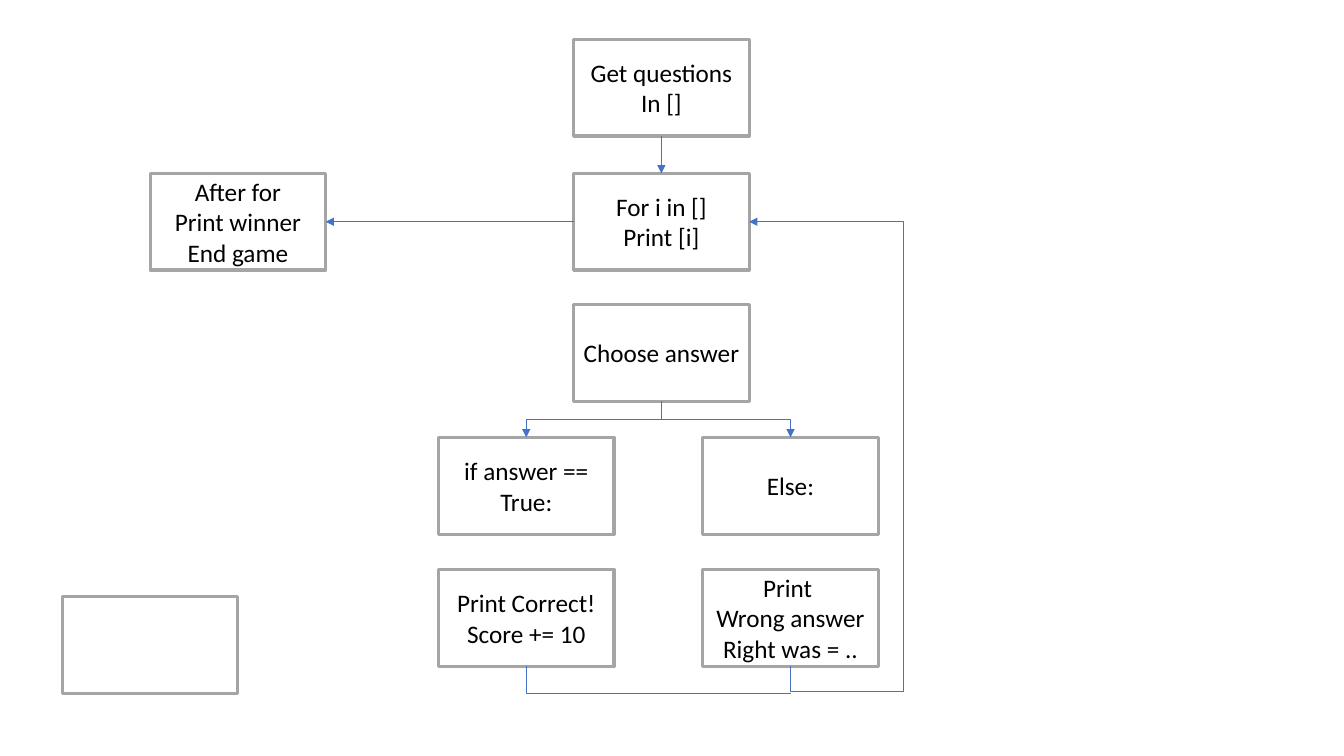
from lxml.etree import SubElement as Sub
from pptx import Presentation
from pptx.dml.color import RGBColor as RGB
from pptx.enum.shapes import MSO_CONNECTOR as Link, MSO_SHAPE as Shape
from pptx.enum.text import MSO_ANCHOR as Anchor, PP_ALIGN as Align
from pptx.oxml.ns import qn
from pptx.util import Inches, Pt

WIDE, HIGH = 1.74, 0.96
ROWS = [0.39, 1.72, 3.02, 4.34, 5.65]
MID, LEFT, RIGHT = 5.69, 4.35, 6.97
# Connection sites of a rectangle
TOP, WEST, BASE, EAST = range(4)
SITES = [(0.5, 0), (0, 0.5), (0.5, 1), (1, 0.5)]
GREY, BLUE, WHITE, BLACK = "A5A5A5", "4472C4", "FFFFFF", "000000"


def paint(color, code):
    color.rgb = RGB.from_string(code)


def add_box(slide, x, y, *lines):
    box = slide.shapes.add_shape(
        Shape.RECTANGLE, Inches(x), Inches(y), Inches(WIDE), Inches(HIGH))
    box.shadow.inherit = False
    box.fill.solid()
    paint(box.fill.fore_color, WHITE)
    paint(box.line.color, GREY)
    box.line.width = Pt(2.25)
    frame = box.text_frame
    frame.word_wrap = True
    frame.vertical_anchor = Anchor.MIDDLE
    for i, line in enumerate(lines):
        para = frame.add_paragraph() if i else frame.paragraphs[0]
        para.text = line
        para.alignment = Align.CENTER
        para.font.name, para.font.size = "Calibri", Pt(18)
        paint(para.font.color, BLACK)
    return box


def point(box, site):
    across, down = SITES[site]
    return (int(box.left + box.width * across),
            int(box.top + box.height * down))


def style(link, arrow):
    paint(link.line.color, BLUE)
    link.line.width = Pt(0.5)
    props = link._element.spPr
    if arrow:
        Sub(props.find(qn("a:ln")), qn("a:tailEnd"), type="triangle")
    Sub(props, qn("a:effectLst"))


def add_line(slide, start, out, end, into):
    link = slide.shapes.add_connector(
        Link.STRAIGHT, *point(start, out), *point(end, into))
    link.begin_connect(start, out)
    link.end_connect(end, into)
    style(link, True)


def add_bend(slide, start, goal, kind, end=None, into=None, bends=()):
    """Elbow that leaves the base of a box and ends at the goal point."""
    (x1, y1), (x2, y2) = point(start, BASE), goal
    link = slide.shapes.add_connector(Link.ELBOW, x1, y1, x2, y2)
    link.begin_connect(start, BASE)
    if end is not None:
        link.end_connect(end, into)
    # The preset runs sideways, so turn its frame about the centre
    wide, high = abs(y2 - y1), abs(x2 - x1)
    link.left, link.top = (x1 + x2 - wide) // 2, (y1 + y2 - high) // 2
    link.width, link.height = wide, high
    props = link._element.spPr
    frame = props.find(qn("a:xfrm"))
    right, down = x2 > x1, y2 > y1
    frame.set("rot", str((270 if right else 90) * 60000))
    frame.set("flipH", "1" if right == down else "0")
    frame.set("flipV", "0")
    geom = props.find(qn("a:prstGeom"))
    geom.set("prst", kind)
    for i, part in enumerate(bends, 1):
        Sub(geom.find(qn("a:avLst")), qn("a:gd"),
            name=f"adj{i}", fmla=f"val {round(part * 100000)}")
    style(link, end is not None)


def main():
    deck = Presentation()
    deck.slide_width, deck.slide_height = Inches(13.33), Inches(7.5)
    slide = deck.slides.add_slide(deck.slide_layouts[6])

    # Steps of the game
    load = add_box(slide, MID, ROWS[0], "Get questions", "In []")
    loop = add_box(slide, MID, ROWS[1], "For i in []", "Print [i]")
    add_box(slide, 0.62, 5.92)
    good = add_box(slide, LEFT, ROWS[3], "if answer == True:")
    bad = add_box(slide, RIGHT, ROWS[3], "Else:")
    pick = add_box(slide, MID, ROWS[2], "Choose answer")
    wrong = add_box(slide, RIGHT, ROWS[4],
                    "Print ", "Wrong answer", "Right was = ..")
    score = add_box(slide, LEFT, ROWS[4], "Print Correct!", "Score += 10")
    done = add_box(slide, 1.49, ROWS[1],
                   "After for", "Print winner", "End game")

    # Straight arrows
    add_line(slide, load, BASE, loop, TOP)
    add_line(slide, loop, WEST, done, EAST)

    # Branches on the answer
    for case in (good, bad):
        add_bend(slide, pick, point(case, TOP), "bentConnector3",
                 case, TOP, [0.5])

    # Way back to the loop
    add_bend(slide, wrong, point(loop, EAST), "bentConnector4",
             loop, EAST, [-0.057, -2.73])
    add_bend(slide, score, (point(wrong, BASE)[0], Inches(6.88)),
             "bentConnector2")

    deck.save("out.pptx")


if __name__ == "__main__":
    main()
